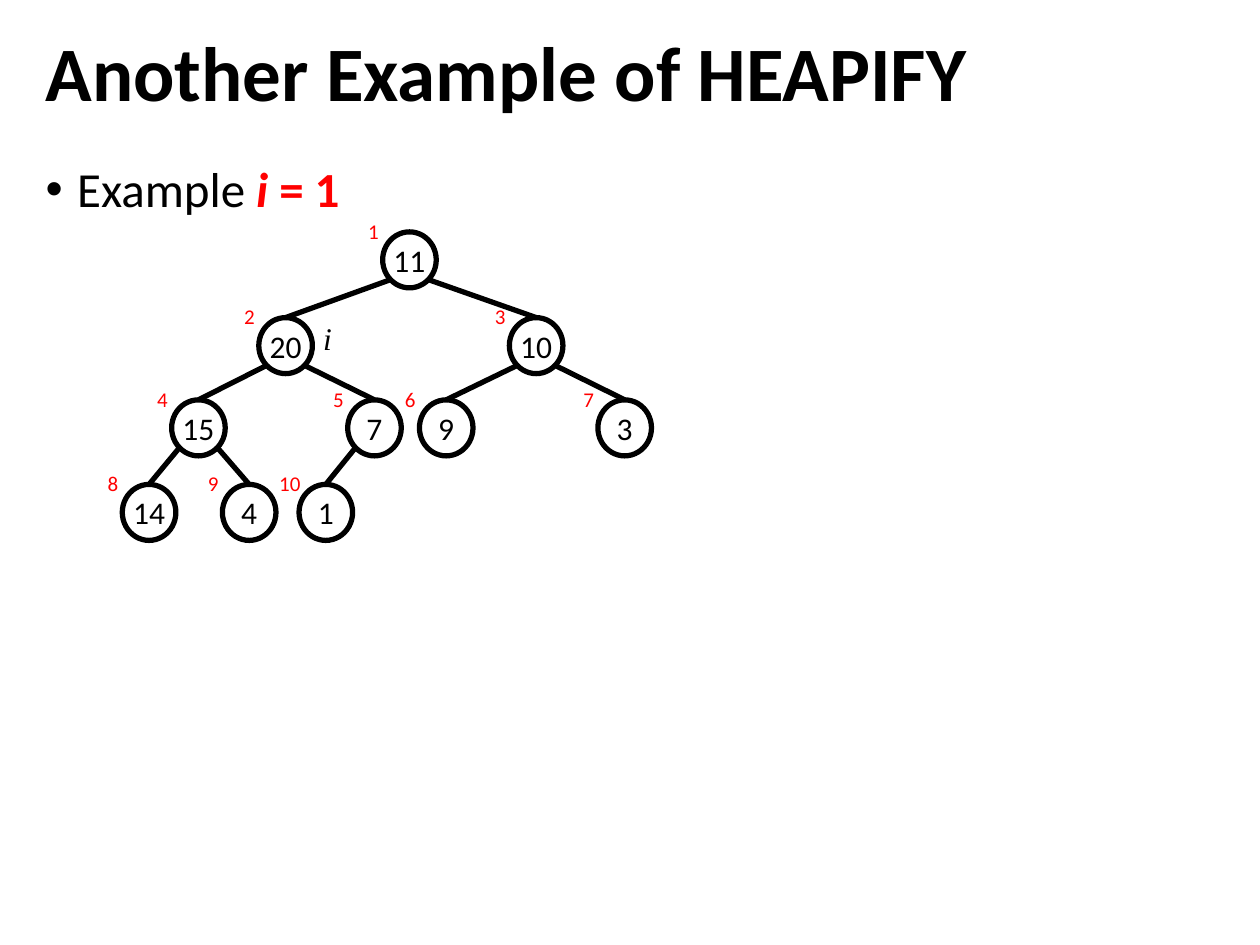
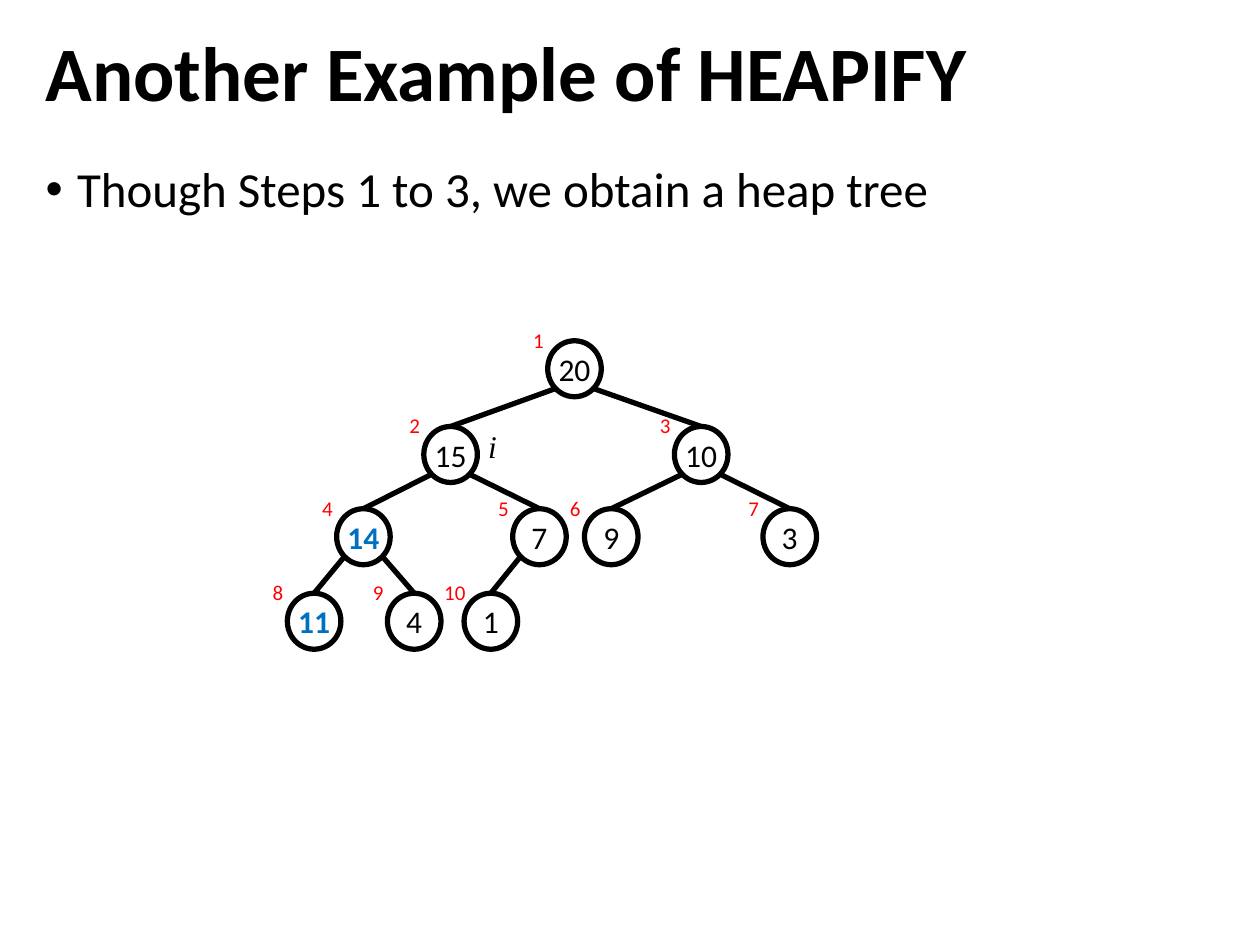
from math import sqrt

from pptx import Presentation
from pptx.dml.color import RGBColor
from pptx.enum.shapes import MSO_CONNECTOR, MSO_SHAPE
from pptx.enum.text import MSO_ANCHOR, PP_ALIGN
from pptx.oxml.ns import qn
from pptx.util import Pt

TITLE = "Another Example of HEAPIFY"
BLACK, RED, BLUE = "000000", "FF0000", "0070C0"
PLAIN = {"color": BLACK}
STRONG = {"color": RED, "bold": True}

SLIDES = [
    {
        "bullet": [("Example ", PLAIN), ("i ", {**STRONG, "italic": True}), ("= 1", STRONG)],
        "values": [11, 20, 10, 15, 7, 9, 3, 14, 4, 1],
        "moved": [],
        "root": (234, 132.5),
    },
    {
        "bullet": [("Though Steps 1 to 3, we obtain a heap tree", PLAIN)],
        "values": [20, 15, 10, 14, 7, 9, 3, 11, 4, 1],
        "moved": [4, 8],
        "root": (328.3, 194.7),
    },
]

NODE_X = [0, -70.8, 72.4, -120.6, -20, 21, 123, -148.8, -91.6, -47.8]
LEVEL_Y = [0, 49, 96, 144.3]
NODE_WIDTH, NODE_HEIGHT = 30.6, 32
LINE_WIDTH = 3
POINTER_NODE = 2
MARGIN, CONTENT_WIDTH = 19, 682


def color_of(hex_string):
    return RGBColor.from_string(hex_string)


def style(span, size, color=BLACK, bold=False, italic=False, name="Calibri"):
    font = span.font
    font.name, font.size, font.bold, font.italic = name, Pt(size), bold, italic
    font.color.rgb = color_of(color)


def add_box(page, left, top, width, height, wrap=True):
    box = page.shapes.add_textbox(Pt(left), Pt(top), Pt(width), Pt(height))
    box.text_frame.word_wrap = wrap
    return box


def add_title(page):
    frame = add_box(page, MARGIN, 11, CONTENT_WIDTH, 66).text_frame
    frame.vertical_anchor = MSO_ANCHOR.MIDDLE
    frame.text = TITLE
    para = frame.paragraphs[0]
    para.line_spacing = 0.9
    style(para.runs[0], 44, bold=True)


def add_bullet(page, spans):
    para = add_box(page, MARGIN, 91, CONTENT_WIDTH, 430).text_frame.paragraphs[0]
    para.line_spacing = 0.9
    properties = para._p.get_or_add_pPr()
    properties.set("marL", str(Pt(18)))
    properties.set("indent", str(Pt(-18)))
    font = properties.makeelement(qn("a:buFont"), {"typeface": "Arial"})
    mark = properties.makeelement(qn("a:buChar"), {"char": "•"})
    properties.extend([font, mark])
    for text, look in spans:
        span = para.add_run()
        span.text = text
        style(span, 28, **look)


def add_label(page, text, center, top, width, height, size, **look):
    frame = add_box(page, center - width / 2, top, width, height, wrap=False).text_frame
    frame.text = text
    para = frame.paragraphs[0]
    para.alignment = PP_ALIGN.CENTER
    style(para.runs[0], size, **look)


def add_node(page, value, center, top, moved):
    node = page.shapes.add_shape(
        MSO_SHAPE.OVAL, Pt(center - NODE_WIDTH / 2), Pt(top), Pt(NODE_WIDTH), Pt(NODE_HEIGHT)
    )
    node.shadow.inherit = False
    node.fill.background()
    node.line.color.rgb = color_of(BLACK)
    node.line.width = Pt(LINE_WIDTH)
    frame = node.text_frame
    frame.margin_left = frame.margin_right = frame.margin_top = frame.margin_bottom = 0
    frame.word_wrap = False
    frame.vertical_anchor = MSO_ANCHOR.MIDDLE
    frame.text = str(value)
    para = frame.paragraphs[0]
    para.alignment = PP_ALIGN.CENTER
    style(para.runs[0], 18, color=BLUE if moved else BLACK, bold=moved)
    return node


def add_edge(page, parent_place, child, child_place, side):
    center, top = parent_place
    start_x = center + side * NODE_WIDTH / 2 / sqrt(2)
    start_y = top + NODE_HEIGHT / 2 * (1 + 1 / sqrt(2))
    end_x, end_y = child_place
    edge = page.shapes.add_connector(
        MSO_CONNECTOR.STRAIGHT, Pt(start_x), Pt(start_y), Pt(end_x), Pt(end_y)
    )
    edge.end_connect(child, 0)
    edge.line.color.rgb = color_of(BLACK)
    edge.line.width = Pt(LINE_WIDTH)
    properties = edge._element.spPr
    properties.append(properties.makeelement(qn("a:effectLst"), {}))


def add_tree(page, values, moved, root):
    places, nodes = {}, {}
    for index, value in enumerate(values, start=1):
        level = index.bit_length() - 1
        center, top = root[0] + NODE_X[index - 1], root[1] + LEVEL_Y[level]
        places[index] = center, top
        nodes[index] = add_node(page, value, center, top, index in moved)
        if index > 1:
            side = 1 if index % 2 else -1
            add_edge(page, places[index // 2], nodes[index], places[index], side)
    for index, (center, top) in places.items():
        text = str(index)
        add_label(page, text, center - 20.6, top - 11.3, 15 + 6 * len(text), 21.6, 12, color=RED)
    center, top = places[POINTER_NODE]
    add_label(page, "i", center + 24, top - 3, 19.4, 29, 18, italic=True, name="Times New Roman")


def main():
    deck = Presentation()
    deck.slide_width, deck.slide_height = Pt(720), Pt(540)
    for content in SLIDES:
        page = deck.slides.add_slide(deck.slide_layouts[6])
        add_title(page)
        add_bullet(page, content["bullet"])
        add_tree(page, content["values"], content["moved"], content["root"])
    deck.save("out.pptx")


if __name__ == "__main__":
    main()
